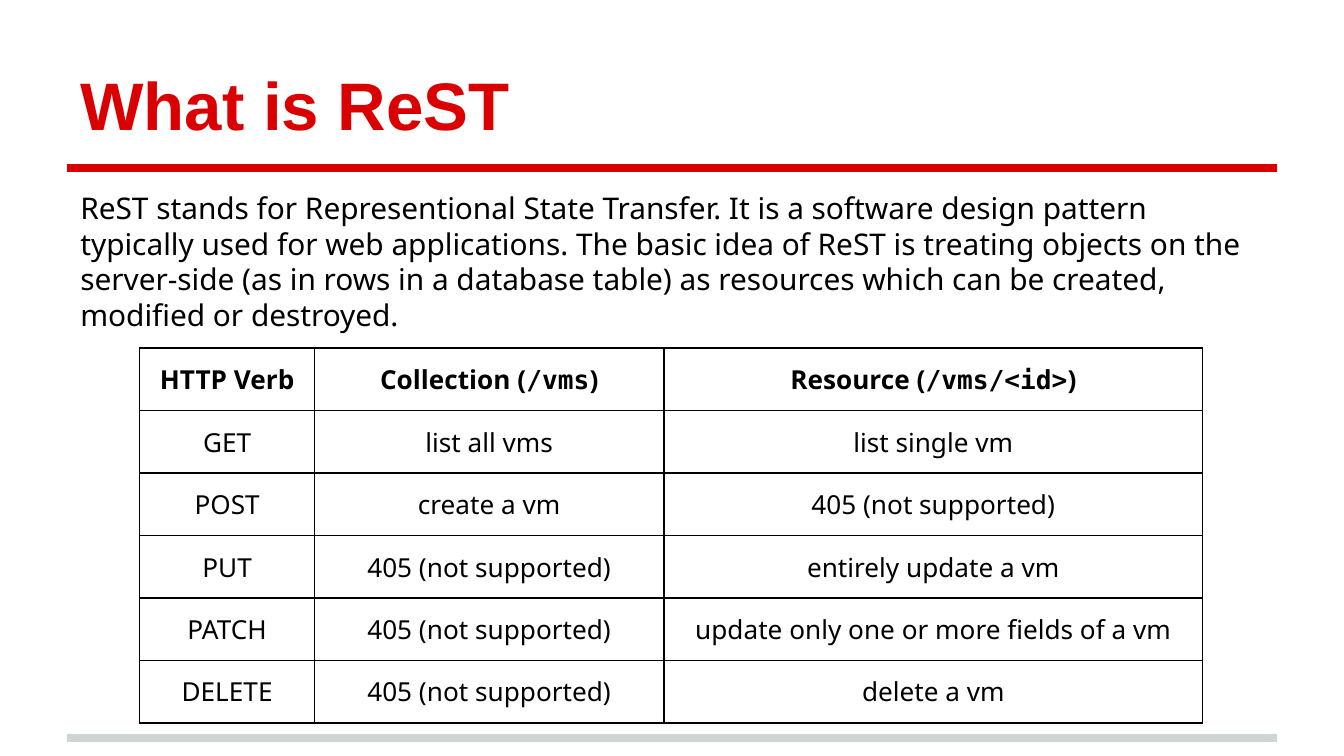
import pptx
import pptx.dml.color
import pptx.enum.shapes
import pptx.enum.text
import pptx.oxml
import pptx.oxml.ns
import pptx.util
from lxml import etree

Inches = pptx.util.Inches
Pt = pptx.util.Pt
qn = pptx.oxml.ns.qn

COLORS = {"red": "DA0002", "grey": "CFD4D4", "black": "000000"}
SANS = "Noto Sans"
MONO = "DejaVu Sans Mono"

INTRO = (
    "ReST stands for Representional State Transfer. It is a software design "
    "pattern typically used for web applications. The basic idea of ReST is "
    "treating objects on the server-side (as in rows in a database table) as "
    "resources which can be created, modified or destroyed."
)
UNSUPPORTED = "405 (not supported)"
HEADER = [
    [("HTTP Verb", SANS)],
    [("Collection (", SANS), ("/vms", MONO), (")", SANS)],
    [("Resource (", SANS), ("/vms/<id>", MONO), (")", SANS)],
]
VERBS = [
    ("GET", "list all vms", "list single vm"),
    ("POST", "create a vm", UNSUPPORTED),
    ("PUT", UNSUPPORTED, "entirely update a vm"),
    ("PATCH", UNSUPPORTED, "update only one or more fields of a vm"),
    ("DELETE", UNSUPPORTED, "delete a vm"),
]
COLUMN_WIDTHS = [1.3, 2.6, 4.01]
TABLE_HEIGHT = 2.79


def rgb(name):
    return pptx.dml.color.RGBColor.from_string(COLORS[name])


def add_span(para, text, font, size, color="black", bold=False):
    span = para.add_run()
    span.text = text
    span.font.name = font
    span.font.size = Pt(size)
    span.font.bold = bold
    span.font.color.rgb = rgb(color)


def set_margins(area):
    area.margin_left = area.margin_right = Inches(0.1)
    area.margin_top = area.margin_bottom = Inches(0.1)


def add_rule(page, y, color):
    rule = page.shapes.add_connector(
        pptx.enum.shapes.MSO_CONNECTOR.STRAIGHT,
        Inches(0.5), Inches(y), Inches(9.5), Inches(y),
    )
    rule.line.color.rgb = rgb(color)
    rule.line.width = Pt(4)
    etree.SubElement(rule._element.spPr, qn("a:effectLst"))


def add_text(page, top, height, anchor):
    box = page.shapes.add_textbox(Inches(0.5), Inches(top), Inches(9), Inches(height))
    frame = box.text_frame
    frame.word_wrap = True
    frame.vertical_anchor = anchor
    set_margins(frame)
    return frame.paragraphs[0]


def add_borders(cell):
    properties = cell._tc.get_or_add_tcPr()
    for position, side in enumerate(("lnL", "lnR", "lnT", "lnB")):
        border = etree.Element(qn(f"a:{side}"), w=str(Pt(0.75)))
        fill = etree.SubElement(border, qn("a:solidFill"))
        etree.SubElement(fill, qn("a:srgbClr"), val=COLORS["black"])
        properties.insert(position, border)


def fill_cell(cell, spans, bold):
    cell.fill.background()
    cell.vertical_anchor = pptx.enum.text.MSO_ANCHOR.MIDDLE
    set_margins(cell)
    para = cell.text_frame.paragraphs[0]
    para.alignment = pptx.enum.text.PP_ALIGN.CENTER
    for text, font in spans:
        add_span(para, text, font, 14, bold=bold)
    add_borders(cell)


def add_verb_table(page):
    rows = [HEADER] + [[[(text, SANS)] for text in verb] for verb in VERBS]
    table = page.shapes.add_table(
        len(rows), len(COLUMN_WIDTHS), Inches(1.04), Inches(2.59),
        Inches(sum(COLUMN_WIDTHS)), Inches(TABLE_HEIGHT),
    ).table
    table.horz_banding = False
    for column, width in zip(table.columns, COLUMN_WIDTHS):
        column.width = Inches(width)
    for row_index, row in enumerate(rows):
        for column_index, spans in enumerate(row):
            fill_cell(table.cell(row_index, column_index), spans, row_index == 0)


def main():
    deck = pptx.Presentation()
    deck.slide_width = Inches(10)
    deck.slide_height = deck.slide_width * 9 // 16
    page = deck.slides.add_slide(deck.slide_layouts[6])

    add_rule(page, 5.49, "grey")
    add_rule(page, 1.25, "red")
    title = add_text(page, 0.23, 0.94, pptx.enum.text.MSO_ANCHOR.BOTTOM)
    add_span(title, "What is ReST", "Arial", 36, "red", bold=True)
    intro = add_text(page, 1.31, 4.07, pptx.enum.text.MSO_ANCHOR.TOP)
    add_span(intro, INTRO, SANS, 16)
    add_verb_table(page)

    deck.save("out.pptx")


if __name__ == "__main__":
    main()
